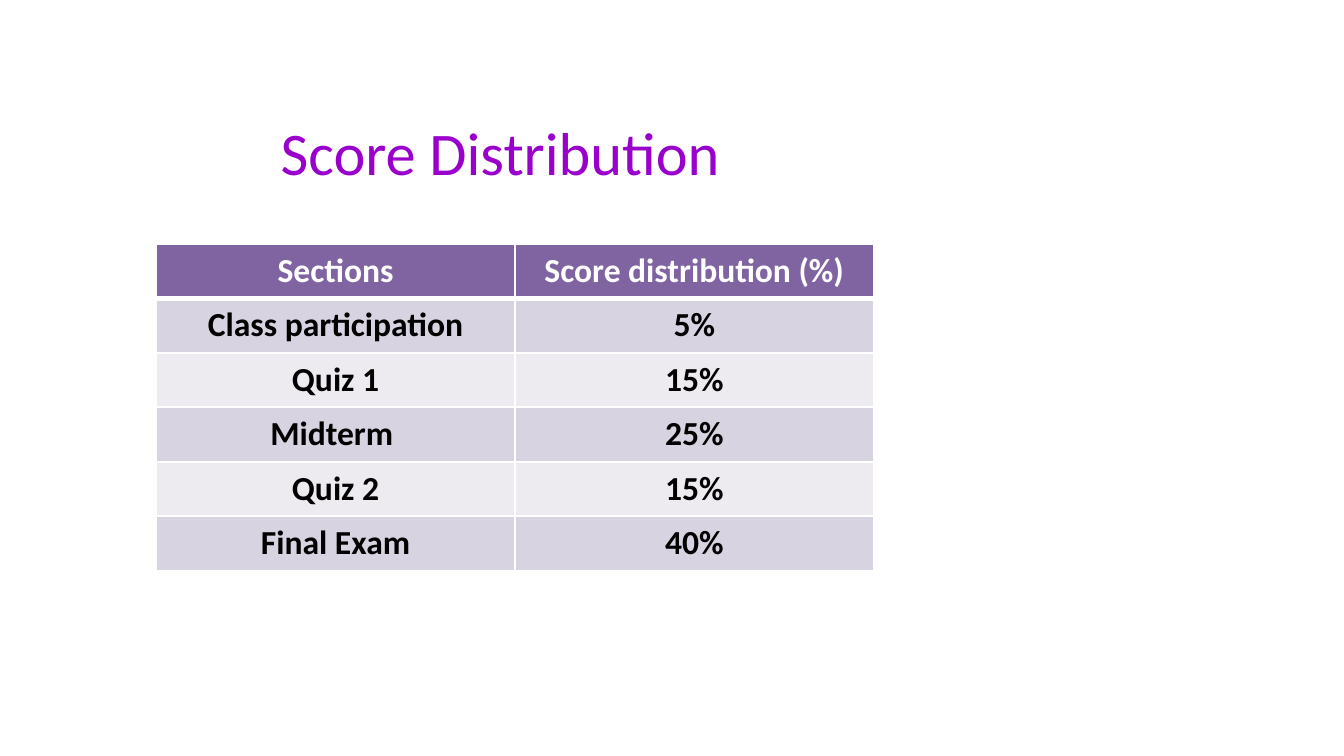
from lxml import etree
from pptx import Presentation
from pptx.dml.color import RGBColor
from pptx.enum.text import MSO_ANCHOR, PP_ALIGN
from pptx.oxml.ns import qn
from pptx.util import Pt

CENTER, MIDDLE = PP_ALIGN.CENTER, MSO_ANCHOR.MIDDLE

# Content
TITLE = "Score Distribution"
SCORES = [
    ("Sections", "Score distribution (%)"),
    ("Class participation", "5%"),
    ("Quiz 1", "15%"),
    ("Midterm ", "25%"),
    ("Quiz 2", "15%"),
    ("Final Exam", "40%"),
]

THEME = {
    "font": "Calibri", "title_size": 32.4, "cell_size": 18,
    "title": "9900CC", "head_text": "FFFFFF", "body_text": "000000",
    "head_fill": "8064A2", "bands": ("D8D3E0", "EDEAF0"),
    "border": "FFFFFF", "border_width": 1, "head_rule": 3,
}

# Layout in points
SLIDE_W, SLIDE_H = 720, 405
TITLE_BOX = (143.3, 58.3, 264.2, 45.4)
TABLE_LEFT, TABLE_TOP = 83.7, 130.6
COL_W, ROW_H = 192.2, 29.2


def style(run, size, color, bold=False):
    run.font.name = THEME["font"]
    run.font.size = Pt(size)
    run.font.bold = bold
    run.font.color.rgb = RGBColor.from_string(color)


def set_borders(cell, widths):
    """Add side lines ahead of the cell fill, in schema order."""
    props = cell._tc.get_or_add_tcPr()
    for i, (side, width) in enumerate(widths.items()):
        line = etree.Element(qn(f"a:ln{side}"), w=str(Pt(width)))
        fill = etree.SubElement(line, qn("a:solidFill"))
        etree.SubElement(fill, qn("a:srgbClr"), val=THEME["border"])
        props.insert(i, line)


prs = Presentation()
prs.slide_width, prs.slide_height = Pt(SLIDE_W), Pt(SLIDE_H)
s = prs.slides.add_slide(prs.slide_layouts[6])

# Title
tf = s.shapes.add_textbox(*map(Pt, TITLE_BOX)).text_frame
tf.word_wrap = True
tf.vertical_anchor = MIDDLE
tf.text = TITLE
style(tf.paragraphs[0].runs[0], THEME["title_size"], THEME["title"])

# Score table
n_rows, n_cols = len(SCORES), len(SCORES[0])
table = s.shapes.add_table(
    n_rows, n_cols, Pt(TABLE_LEFT), Pt(TABLE_TOP),
    Pt(COL_W * n_cols), Pt(ROW_H * n_rows)).table
for column in table.columns:
    column.width = Pt(COL_W)
for i, values in enumerate(SCORES):
    table.rows[i].height = Pt(ROW_H)
    is_head = i == 0
    fill = THEME["head_fill"] if is_head else THEME["bands"][(i - 1) % 2]
    color = THEME["head_text"] if is_head else THEME["body_text"]
    thin, thick = THEME["border_width"], THEME["head_rule"]
    widths = {"L": thin, "R": thin,
              "T": thick if i == 1 else thin, "B": thick if is_head else thin}
    for j, value in enumerate(values):
        cell = table.cell(i, j)
        cell.fill.solid()
        cell.fill.fore_color.rgb = RGBColor.from_string(fill)
        set_borders(cell, widths)
        cell.text_frame.text = value
        p = cell.text_frame.paragraphs[0]
        p.alignment = CENTER
        style(p.runs[0], THEME["cell_size"], color, bold=True)

prs.save("out.pptx")
